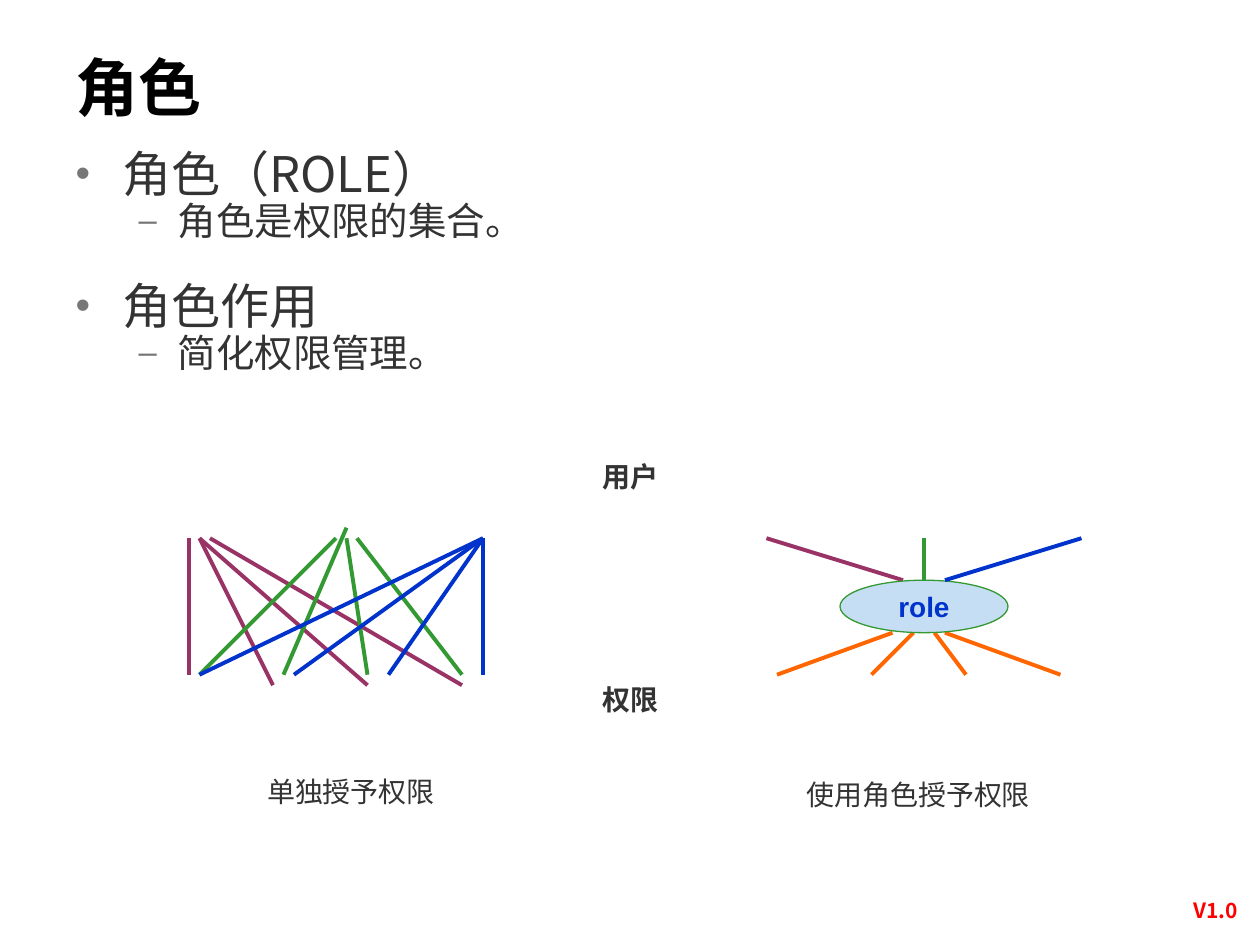
from dataclasses import dataclass

from lxml.etree import SubElement
from pptx import Presentation
from pptx.dml.color import RGBColor
from pptx.enum.shapes import MSO_CONNECTOR, MSO_SHAPE
from pptx.enum.text import MSO_ANCHOR, MSO_AUTO_SIZE, PP_ALIGN
from pptx.oxml.ns import qn
from pptx.util import Cm, Pt

CJK_FONT = "Noto Sans CJK SC"
PURPLE, GREEN, BLUE, ORANGE = "993366", "339933", "0033CC", "FF6600"
DARK, GREY = "333333", "777777"

# The diagram sits on a grid of twelve steps to the inch.
GRID = 2.54 / 12
ORIGIN_X, ORIGIN_Y = 3.81, 10.85


@dataclass
class Fan:
    """Lines of one colour, each as (x1, y1, x2, y2) in grid steps."""
    color: str
    lines: list[tuple[int, int, int, int]]


@dataclass
class Label:
    text: str
    left: float
    top: float
    width: float
    bold: bool = False


@dataclass
class Level:
    bullet: str
    size: int
    margin: float
    hanging: float


LEVELS = [Level("•", 28, 0.95, 0.95), Level("–", 22, 2.06, 0.79)]

BODY = [
    (0, "角色（ROLE）"),
    (1, "角色是权限的集合。"),
    (0, "角色作用"),
    (1, "简化权限管理。"),
]

FANS = [
    Fan(PURPLE, [(0, 0, 0, 13), (1, 0, 8, 14), (1, 0, 17, 14), (2, 0, 26, 14)]),
    Fan(GREEN, [(14, 0, 1, 13), (15, -1, 9, 13), (15, 0, 17, 13), (16, 0, 26, 13)]),
    Fan(BLUE, [(28, 0, x, 13) for x in (1, 10, 19, 28)]),
    Fan(PURPLE, [(55, 0, 68, 4)]),
    Fan(GREEN, [(70, 0, 70, 4)]),
    Fan(ORANGE, [(67, 9, 56, 13), (69, 9, 65, 13), (71, 9, 74, 13), (72, 9, 83, 13)]),
]
USER_TO_ROLE = Fan(BLUE, [(85, 0, 72, 4)])

LABELS = [
    Label("权限", 11.23, 13.64, 2.97, bold=True),
    Label("用户", 11.23, 9.14, 2.97, bold=True),
    Label("单独授予权限", 4.85, 15.49, 4.45),
    Label("使用角色授予权限", 15.44, 15.54, 6.15),
]


def rgb(color: str) -> RGBColor:
    return RGBColor.from_string(color)


def grid_x(step: int) -> Cm:
    return Cm(ORIGIN_X + step * GRID)


def grid_y(step: int) -> Cm:
    return Cm(ORIGIN_Y + step * GRID)


def write(paragraph, text: str, *, size: int, color: str, font: str = CJK_FONT,
          bold: bool = False, align=PP_ALIGN.LEFT) -> None:
    paragraph.alignment = align
    paragraph.space_before = Pt(0)
    run = paragraph.add_run()
    run.text = text
    run.font.size = Pt(size)
    run.font.bold = bold
    run.font.name = font
    run.font.color.rgb = rgb(color)
    east_asian = SubElement(run.font._element, qn("a:ea"))
    east_asian.set("typeface", CJK_FONT)


def set_bullet(paragraph, level: Level) -> None:
    properties = paragraph._p.get_or_add_pPr()
    properties.set("marL", str(Cm(level.margin)))
    properties.set("indent", str(-Cm(level.hanging)))
    bullet_color = SubElement(properties, qn("a:buClr"))
    SubElement(bullet_color, qn("a:srgbClr")).set("val", GREY)
    SubElement(properties, qn("a:buSzPct")).set("val", "85000")
    SubElement(properties, qn("a:buFont")).set("typeface", "Arial")
    SubElement(properties, qn("a:buChar")).set("char", level.bullet)


def place(shape, left: float, top: float, width: float, height: float) -> None:
    shape.left, shape.top = Cm(left), Cm(top)
    shape.width, shape.height = Cm(width), Cm(height)


def fill_title(title) -> None:
    place(title, 1.27, 0.76, 20.24, 1.96)
    title.text_frame.auto_size = MSO_AUTO_SIZE.NONE
    title.text_frame.vertical_anchor = MSO_ANCHOR.MIDDLE
    write(title.text_frame.paragraphs[0], "角色", size=36, color="000000", bold=True)


def fill_body(body) -> None:
    place(body, 1.27, 2.92, 22.63, 13.79)
    frame = body.text_frame
    frame.auto_size = MSO_AUTO_SIZE.NONE
    for index, (depth, text) in enumerate(BODY):
        paragraph = frame.add_paragraph() if index else frame.paragraphs[0]
        paragraph.level = depth
        set_bullet(paragraph, LEVELS[depth])
        write(paragraph, text, size=LEVELS[depth].size, color=DARK)
        paragraph.line_spacing = 0.88
        if index and depth == 0:
            paragraph.space_before = Pt(22.5)


def draw_fan(slide, fan: Fan) -> None:
    for x1, y1, x2, y2 in fan.lines:
        line = slide.shapes.add_connector(
            MSO_CONNECTOR.STRAIGHT, grid_x(x1), grid_y(y1), grid_x(x2), grid_y(y2))
        line.line.color.rgb = rgb(fan.color)
        line.line.width = Pt(2.25)
        SubElement(line._element.spPr, qn("a:effectLst"))


def add_text(slide, left: float, top: float, width: float, height: float,
             text: str, **text_format) -> None:
    box = slide.shapes.add_textbox(Cm(left), Cm(top), Cm(width), Cm(height))
    box.text_frame.word_wrap = True
    write(box.text_frame.paragraphs[0], text, align=PP_ALIGN.CENTER, **text_format)


def draw_role(slide) -> None:
    role = slide.shapes.add_shape(
        MSO_SHAPE.OVAL, grid_x(62), grid_y(4), Cm(16 * GRID), Cm(5 * GRID))
    role.shadow.inherit = False
    role.fill.solid()
    role.fill.fore_color.rgb = rgb("C6DEF3")
    role.line.color.rgb = rgb(GREEN)
    role.line.width = Pt(0.75)
    role.text_frame.word_wrap = False
    role.text_frame.vertical_anchor = MSO_ANCHOR.MIDDLE
    write(role.text_frame.paragraphs[0], "role", size=16, color=BLUE,
          font="Arial", bold=True, align=PP_ALIGN.CENTER)


def main() -> None:
    presentation = Presentation()
    presentation.slide_width, presentation.slide_height = Cm(25.4), Cm(19.05)
    slide = presentation.slides.add_slide(presentation.slide_layouts[1])

    fill_title(slide.shapes.title)
    fill_body(slide.placeholders[1])
    for fan in FANS:
        draw_fan(slide, fan)
    for label in LABELS:
        add_text(slide, label.left, label.top, label.width, 1.02, label.text,
                 size=16, color=DARK, font="Arial", bold=label.bold)
    draw_role(slide)
    draw_fan(slide, USER_TO_ROLE)
    add_text(slide, 23.5, 17.96, 2.01, 0.76, "V1.0",
             size=12, color="FF0000", bold=True)

    presentation.save("out.pptx")


if __name__ == "__main__":
    main()
